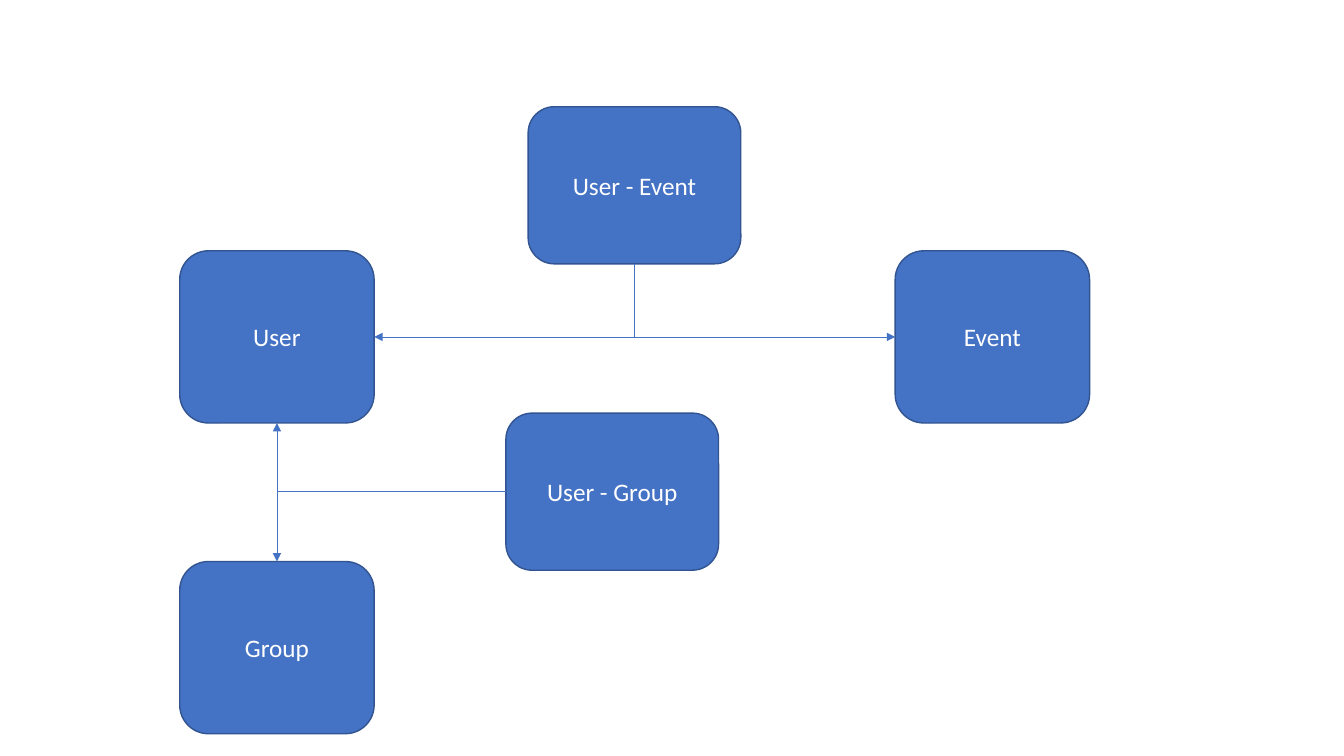
from pptx import Presentation
from pptx.dml.color import RGBColor
from pptx.enum.shapes import MSO_CONNECTOR, MSO_SHAPE
from pptx.enum.text import MSO_ANCHOR, PP_ALIGN
from pptx.oxml.ns import qn
from pptx.util import Cm, Pt
from lxml.etree import SubElement

TOP, LEFT, BOTTOM, RIGHT = range(4)
TABLE = (4.9, 4.34)
JOIN = (5.36, 3.96)


def color(code):
    """Turn a hex string into a colour."""
    return RGBColor.from_string(code)


class Diagram:
    """Hold the style and the slide of an entity diagram."""

    font, size = "Calibri", 18
    fill, edge, ink = "4472C4", "325491", "FFFFFF"

    def __init__(self, slide):
        """Start drawing on the given slide."""
        self.shapes = slide.shapes

    def box(self, label, left, top, size):
        """Add a rounded box with a centred label."""
        box = self.shapes.add_shape(MSO_SHAPE.ROUNDED_RECTANGLE,
                                    Cm(left), Cm(top), *map(Cm, size))
        box.shadow.inherit = False
        box.fill.solid()
        box.fill.fore_color.rgb = color(self.fill)
        box.line.color.rgb = color(self.edge)
        box.line.width = Pt(1)
        frame = box.text_frame
        frame.word_wrap = True
        frame.vertical_anchor = MSO_ANCHOR.MIDDLE
        para = frame.paragraphs[0]
        para.alignment = PP_ALIGN.CENTER
        run = para.add_run()
        run.text = label
        run.font.name = self.font
        run.font.size = Pt(self.size)
        run.font.color.rgb = color(self.ink)
        return box

    def line(self, box, site):
        """Add a thin line that starts at a side of a box."""
        line = self.shapes.add_connector(MSO_CONNECTOR.STRAIGHT, 0, 0, 0, 0)
        line.begin_connect(box, site)
        line.line.color.rgb = color(self.fill)
        line.line.width = Pt(0.5)
        SubElement(line._element.spPr, qn("a:effectLst"))
        return line

    def link(self, first, start, last, end):
        """Join two boxes with a two-headed arrow."""
        line = self.line(first, start)
        line.end_connect(last, end)
        stroke = line.line._get_or_add_ln()
        for tag in ("a:headEnd", "a:tailEnd"):
            SubElement(stroke, qn(tag), type="triangle")
        return line

    def branch(self, box, site, link):
        """Run a line from a box straight to a link."""
        line = self.line(box, site)
        if site == BOTTOM:
            line.end_x, line.end_y = line.begin_x, link.begin_y
        else:
            line.end_x, line.end_y = link.begin_x, line.begin_y


def main():
    """Build the slide and save it."""
    deck = Presentation()
    deck.slide_width, deck.slide_height = Cm(33.87), Cm(19.05)
    art = Diagram(deck.slides.add_slide(deck.slide_layouts[6]))

    user = art.box("User", 4.53, 6.32, TABLE)
    group = art.box("Group", 4.53, 14.15, TABLE)
    event = art.box("Event", 22.56, 6.32, TABLE)
    member = art.box("User - Group", 12.75, 10.41, JOIN)
    guest = art.box("User - Event", 13.31, 2.69, JOIN)

    down = art.link(user, BOTTOM, group, TOP)
    across = art.link(event, LEFT, user, RIGHT)
    art.branch(member, LEFT, down)
    art.branch(guest, BOTTOM, across)
    deck.save("out.pptx")


if __name__ == "__main__":
    main()
